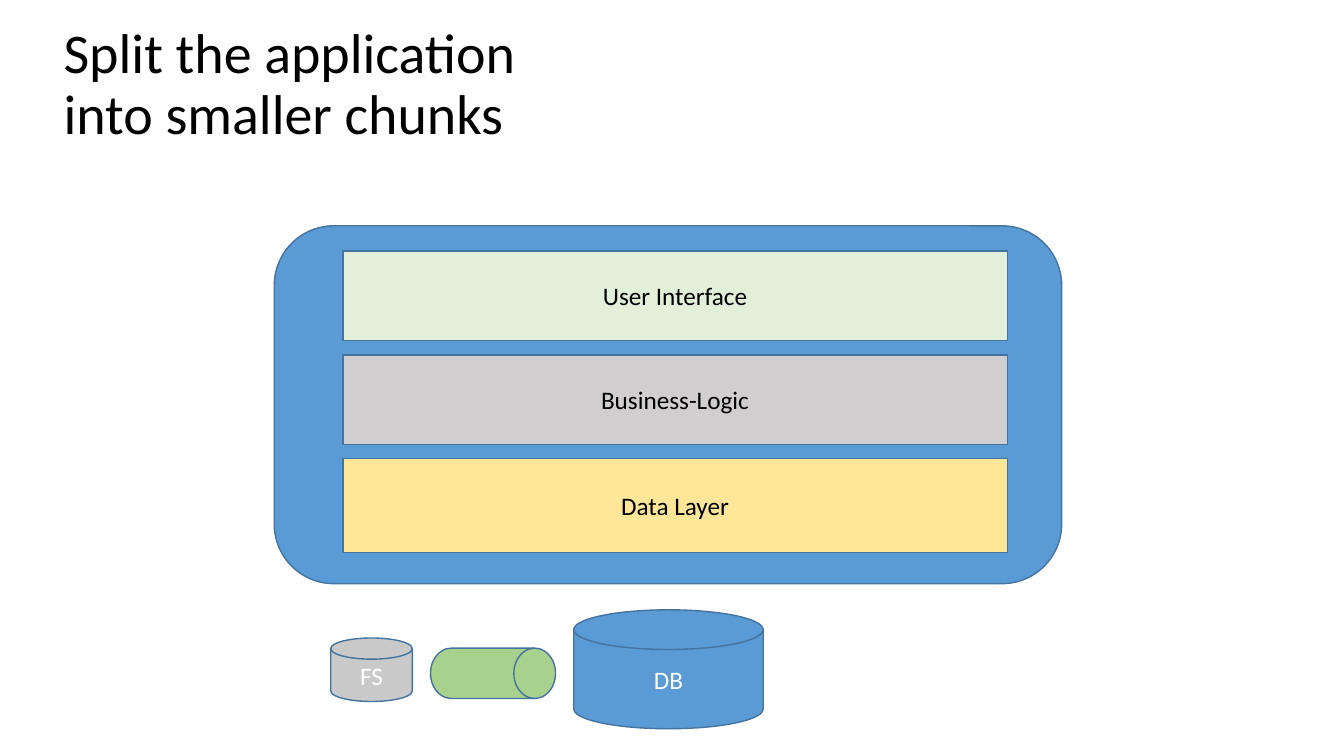
from pptx import Presentation
from pptx.dml.color import RGBColor
from pptx.enum.shapes import MSO_SHAPE
from pptx.enum.text import MSO_ANCHOR, MSO_AUTO_SIZE, PP_ALIGN
from pptx.util import Inches, Pt

HUES = {
    "blue": "5B9BD5", "edge": "43739E", "mint": "E2F0D9", "gray": "D0CECE",
    "gold": "FFE699", "steel": "C9C9C9", "green": "A9D18E",
    "white": "FFFFFF", "black": "000000",
}


def style(frame, text, size, ink, align):
    frame.text = text
    para = frame.paragraphs[0]
    para.alignment = align
    font = para.runs[0].font
    font.name = "Calibri"
    font.size = Pt(size)
    font.color.rgb = RGBColor.from_string(HUES[ink])


def block(kind, box, fill, text="", ink="white"):
    shape = slide.shapes.add_shape(kind, *map(Inches, box))
    shape.shadow.inherit = False
    shape.fill.solid()
    shape.fill.fore_color.rgb = RGBColor.from_string(HUES[fill])
    shape.line.color.rgb = RGBColor.from_string(HUES["edge"])
    shape.line.width = Pt(1)
    if text:
        shape.text_frame.vertical_anchor = MSO_ANCHOR.MIDDLE
        style(shape.text_frame, text, 18, ink, PP_ALIGN.CENTER)


deck = Presentation()
deck.slide_width = Inches(13.33)
deck.slide_height = Inches(7.5)
slide = deck.slides.add_slide(deck.slide_layouts[5])

title = slide.shapes.title
title.left, title.top = Inches(0.53), Inches(0.2)
title.width, title.height = Inches(4.73), Inches(1.37)
frame = title.text_frame
style(frame, "Split the application into smaller chunks", 40, "black", PP_ALIGN.LEFT)
frame.word_wrap = True
frame.auto_size = MSO_AUTO_SIZE.NONE
frame.vertical_anchor = MSO_ANCHOR.TOP
frame.paragraphs[0].line_spacing = 0.9

block(MSO_SHAPE.ROUNDED_RECTANGLE, (2.72, 2.24, 7.81, 3.55), "blue")

layers = [
    ("User Interface", "mint", 0.89),
    ("Business-Logic", "gray", 0.89),
    ("Data Layer", "gold", 0.93),
]
for row, (name, fill, height) in enumerate(layers):
    block(MSO_SHAPE.RECTANGLE, (3.4, 2.49 + row * 1.03, 6.59, height), fill, name, "black")

disk = MSO_SHAPE.FLOWCHART_MAGNETIC_DISK
block(disk, (5.69, 6.05, 1.88, 1.18), "blue", "DB")
block(disk, (3.28, 6.33, 0.81, 0.63), "steel", "FS")
block(MSO_SHAPE.FLOWCHART_DIRECT_ACCESS_STORAGE, (4.27, 6.43, 1.24, 0.5), "green")

deck.save("out.pptx")
